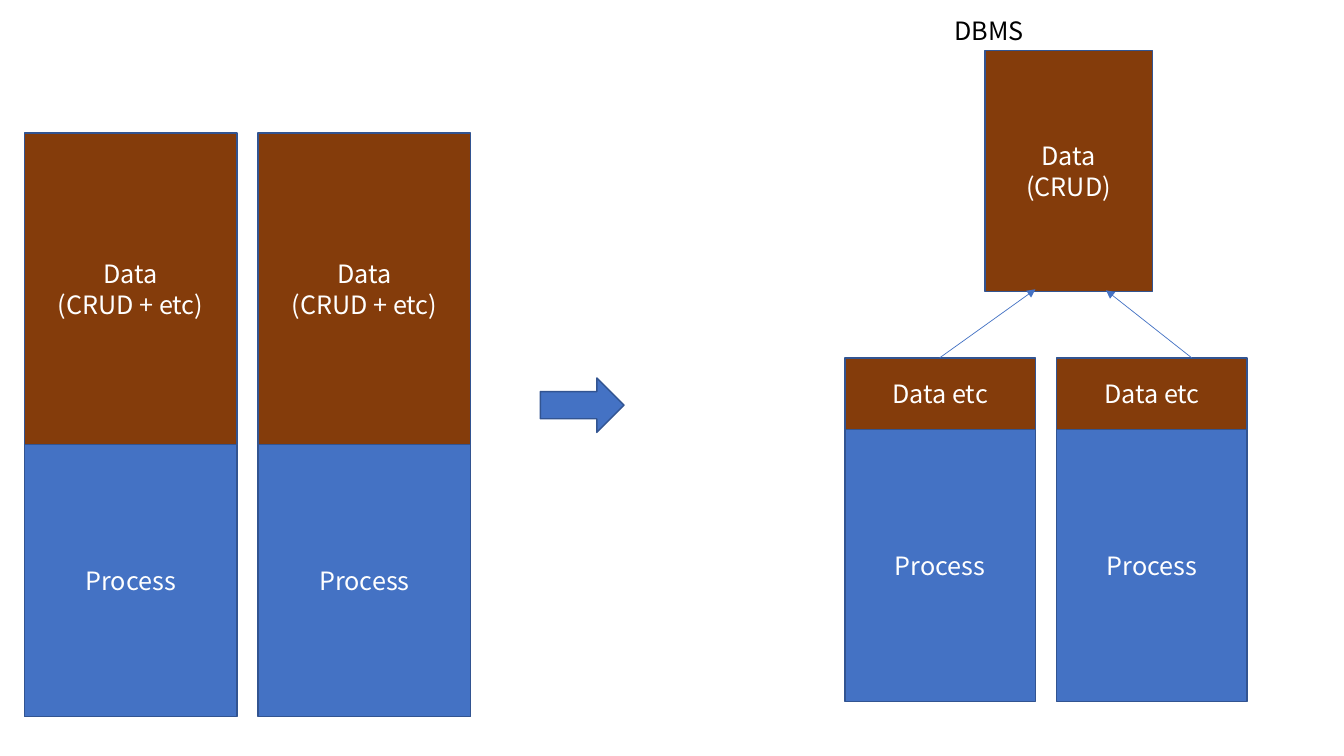
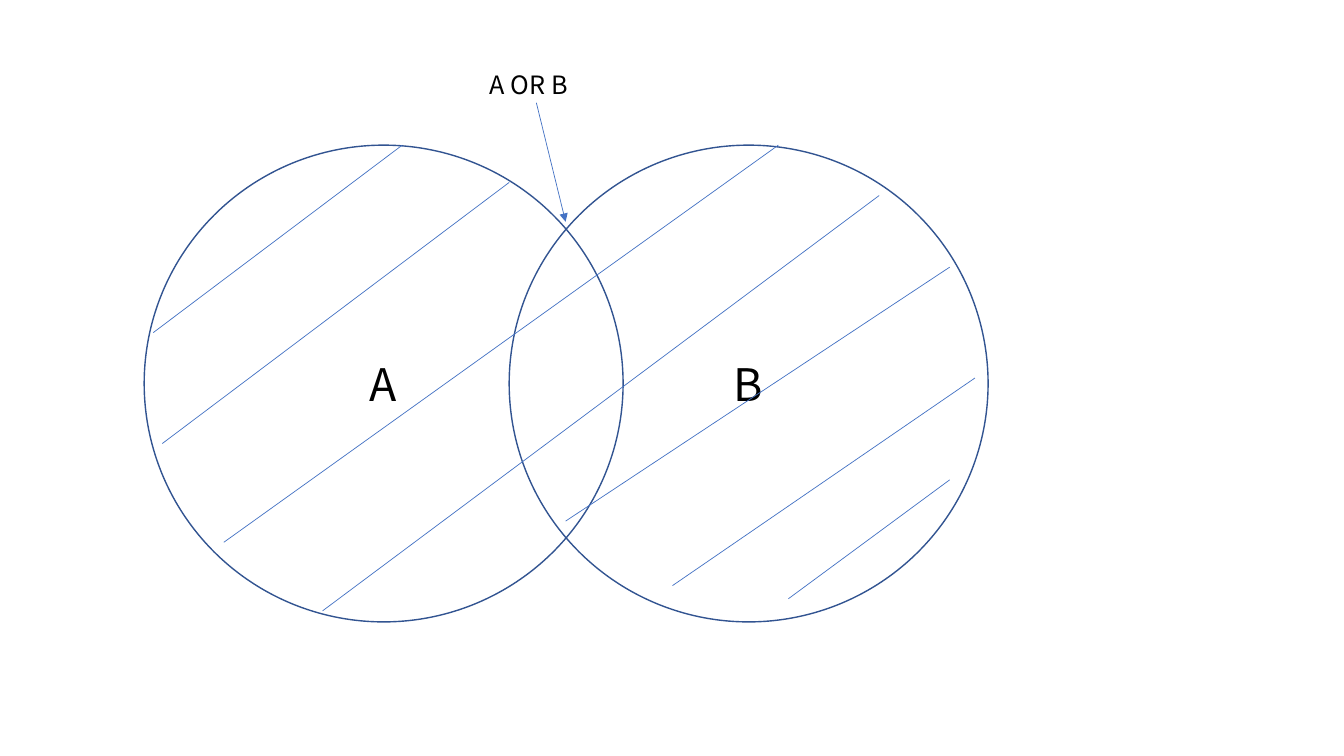
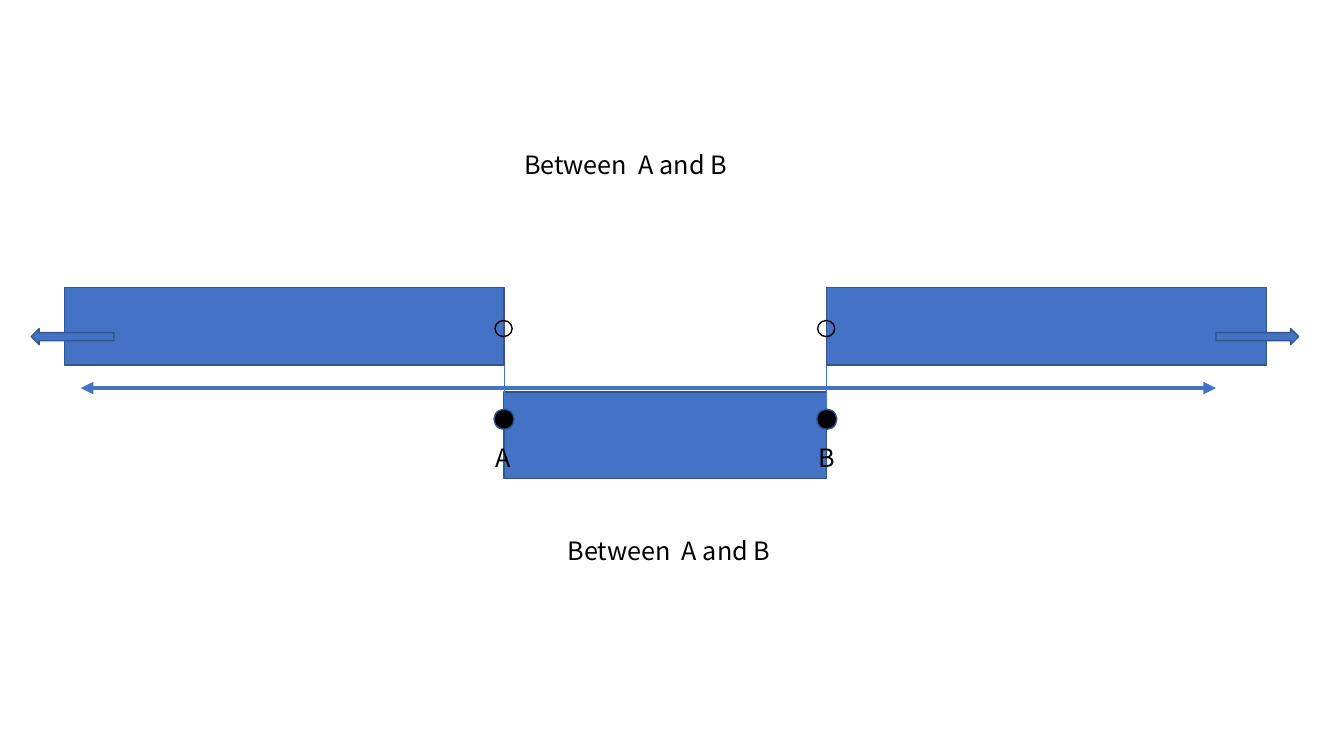
from pptx import Presentation
from pptx.dml.color import RGBColor
from pptx.enum.shapes import MSO_CONNECTOR, MSO_SHAPE
from pptx.enum.text import MSO_ANCHOR, MSO_AUTO_SIZE, PP_ALIGN
from pptx.oxml.ns import qn
from pptx.util import Inches, Pt
from lxml.etree import SubElement

COLORS = {
    "data": "843C0B",
    "process": "4472C4",
    "outline": "325491",
    "black": "000000",
    "white": "FFFFFF",
}
FONT = "Noto Sans CJK KR"


def rgb(color):
    return RGBColor.from_string(COLORS[color])


class Deck:
    """Shared style and the slide being drawn."""

    def __init__(self):
        self.presentation = Presentation()
        self.presentation.slide_width = Inches(13.33)
        self.presentation.slide_height = Inches(7.5)
        self.slide = None

    def new_slide(self):
        blank = self.presentation.slide_layouts[6]
        self.slide = self.presentation.slides.add_slide(blank)

    def set_text(self, frame, text, size, color, align):
        frame.text = text
        font_format = {"name": FONT, "size": Pt(size)}
        for paragraph in frame.paragraphs:
            paragraph.alignment = align
            for run in paragraph.runs:
                for key, value in font_format.items():
                    setattr(run.font, key, value)
                run.font.color.rgb = rgb(color)

    def shape(self, kind, left, top, width, height, fill=None, text="",
              size=18, color="white", line="outline", rotation=0):
        box = self.slide.shapes.add_shape(
            kind, Inches(left), Inches(top), Inches(width), Inches(height))
        box.shadow.inherit = False
        box.rotation = rotation
        if fill:
            box.fill.solid()
            box.fill.fore_color.rgb = rgb(fill)
        else:
            box.fill.background()
        box.line.color.rgb = rgb(line)
        box.line.width = Pt(1)
        if text:
            box.text_frame.vertical_anchor = MSO_ANCHOR.MIDDLE
            self.set_text(box.text_frame, text, size, color, PP_ALIGN.CENTER)

    def label(self, text, left, top, width):
        box = self.slide.shapes.add_textbox(
            Inches(left), Inches(top), Inches(width), Inches(0.4))
        self.set_text(box.text_frame, text, 18, "black", PP_ALIGN.LEFT)
        frame_format = {"word_wrap": False,
                        "auto_size": MSO_AUTO_SIZE.SHAPE_TO_FIT_TEXT}
        for key, value in frame_format.items():
            setattr(box.text_frame, key, value)

    def line(self, start, end, width=0.5, arrows=()):
        connector = self.slide.shapes.add_connector(
            MSO_CONNECTOR.STRAIGHT, *map(Inches, (*start, *end)))
        connector.line.color.rgb = rgb("process")
        connector.line.width = Pt(width)
        properties = connector._element.spPr
        outline = properties.find(qn("a:ln"))
        for arrow in arrows:
            SubElement(outline, qn(f"a:{arrow}"), type="triangle")
        SubElement(properties, qn("a:effectLst"))

    def stack(self, left, top, width, data_height, data_text):
        process_height = 2.7
        self.shape(MSO_SHAPE.RECTANGLE, left, top, width, data_height,
                   "data", data_text)
        self.shape(MSO_SHAPE.RECTANGLE, left, top + data_height, width,
                   process_height, "process", "Process")


def draw_dbms(deck):
    deck.new_slide()
    for left in (0.24, 2.56):
        deck.stack(left, 1.32, 2.11, 3.09, "Data\n(CRUD + etc)")
    deck.shape(MSO_SHAPE.RIGHT_ARROW, 5.36, 3.75, 0.83, 0.54, "process")
    deck.label("DBMS", 9.37, 0.1, 0.9)
    deck.shape(MSO_SHAPE.RECTANGLE, 9.77, 0.5, 1.66, 2.39, "data",
               "Data\n(CRUD)")
    for left in (8.38, 10.48):
        deck.stack(left, 3.55, 1.89, 0.71, "Data etc")
    for start_x, end in ((9.32, (10.27, 2.87)), (11.82, (10.97, 2.88))):
        deck.line((start_x, 3.55), end, arrows=["tailEnd"])


def draw_union(deck):
    deck.new_slide()
    for name, left in (("A", 1.43), ("B", 5.05)):
        deck.shape(MSO_SHAPE.OVAL, left, 1.44, 4.75, 4.73, text=name,
                   size=32, color="black")
    deck.line((5.32, 1.02), (5.61, 2.2), arrows=["tailEnd"])
    deck.label("A OR B", 4.76, 0.64, 1.04)
    hatching = (
        ((3.99, 1.44), (1.52, 3.3)),
        ((5.05, 1.81), (1.61, 4.4)),
        ((7.72, 1.44), (2.22, 5.38)),
        ((8.72, 1.94), (3.2, 6.06)),
        ((9.42, 2.65), (5.61, 5.17)),
        ((9.67, 3.75), (6.67, 5.81)),
        ((9.42, 4.76), (7.82, 5.94)),
    )
    for start, end in hatching:
        deck.line(start, end)


def draw_between(deck):
    deck.new_slide()
    bounds = {"A": 5, "B": 8.2}
    deck.shape(MSO_SHAPE.RECTANGLE, bounds["A"], 3.89,
               bounds["B"] - bounds["A"], 0.86, "process")
    deck.line((0.8, 3.85), (12.06, 3.85), 3, ["headEnd", "tailEnd"])
    for left, top in ((5.53, 5.26), (5.1, 1.43)):
        deck.label("Between  A and B", left, top, 2.27)
    for (name, x), width in zip(bounds.items(), (0.37, 0.35)):
        deck.line((x, 3.62), (x, 4.15))
        deck.label(name, x - 0.18, 4.34, width)
        deck.shape(MSO_SHAPE.OVAL, x - 0.1, 4.06, 0.2, 0.2, "black")
    outside_width = 4.36
    for left in (bounds["A"] - outside_width, bounds["B"]):
        deck.shape(MSO_SHAPE.RECTANGLE, left, 2.85, outside_width, 0.77,
                   "process")
    for x in bounds.values():
        deck.shape(MSO_SHAPE.OVAL, x - 0.09, 3.18, 0.17, 0.16, line="black")
    for left, rotation in ((0.31, 180), (12.06, 0)):
        deck.shape(MSO_SHAPE.RIGHT_ARROW, left, 3.26, 0.82, 0.16, "process",
                   rotation=rotation)


deck = Deck()
for draw in (draw_dbms, draw_union, draw_between):
    draw(deck)
deck.presentation.save("out.pptx")
